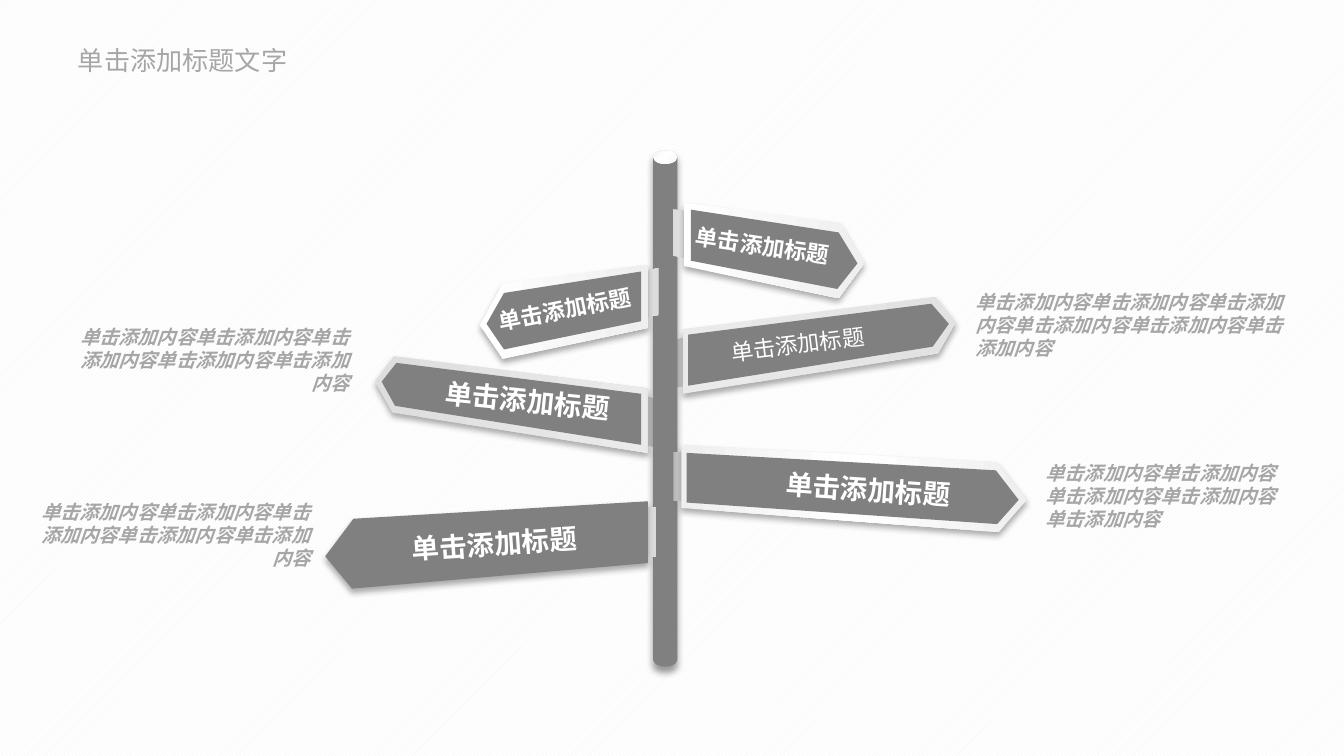
from copy import deepcopy

from lxml import etree
from pptx import Presentation
from pptx.dml.color import RGBColor
from pptx.enum.dml import MSO_PATTERN
from pptx.enum.lang import MSO_LANGUAGE_ID
from pptx.enum.shapes import MSO_SHAPE
from pptx.enum.text import MSO_ANCHOR, MSO_AUTO_SIZE, PP_ALIGN
from pptx.oxml.ns import qn
from pptx.util import Inches, Pt

CAN, OVAL, SLANT = MSO_SHAPE.CAN, MSO_SHAPE.OVAL, MSO_SHAPE.PARALLELOGRAM
LEFT, CENTER, RIGHT = PP_ALIGN.LEFT, PP_ALIGN.CENTER, PP_ALIGN.RIGHT
TOP, MIDDLE = MSO_ANCHOR.TOP, MSO_ANCHOR.MIDDLE
GROW = MSO_AUTO_SIZE.SHAPE_TO_FIT_TEXT
DIAGONAL = MSO_PATTERN.LIGHT_UPWARD_DIAGONAL
CHINESE = MSO_LANGUAGE_ID.SIMPLIFIED_CHINESE
TITLE_ONLY = 5

COLUMNS, ROWS = 100, 56.25
WIDTH, HEIGHT = Inches(10), Inches(5.625)
GRAY, MUTED, WHITE = "808080", "A6A6A6", "FFFFFF"
SIGN_SHADOW, POST_SHADOW = (32, 3.5, 2.2), (40, 4, 3)
PALE = [(0, "FFFFFF"), (100, "EFEFEF")]
TAB_SOFT = [(0, "CBCBCB"), (100, "DDDDDD")]
CAPTION = "单击添加内容"

# Lengths below are grid columns and rows.
SIGNS_BEHIND = [
    dict(frame=[(50.8, 24.5), (50.8, 29.3), (69.8, 26.3), (71.1, 24), (69.6, 22.1)],
         face=[(51.2, 24.9), (51.2, 28.7), (69.4, 25.8), (70.6, 24.1), (69.3, 22.6)],
         rim=[(0, "EAEAEA"), (100, "E2E2E2")],
         tab=(48.7, 26.7, 3.7, 0.6), turn=270, flip=True, slant=0.234, tab_fill=TAB_SOFT),
    dict(frame=[(48.2, 28.9), (48.2, 33.7), (29.2, 30.7), (27.9, 28.4), (29.3, 26.5)],
         face=[(47.7, 29.3), (47.7, 33.1), (29.4, 30.2), (28.4, 28.4), (29.5, 27)],
         rim=[(0, "DEDEDE"), (100, "EAEAEA")],
         tab=(46.6, 31.1, 3.7, 0.6), turn=90, flip=False, slant=0.191, tab_fill=TAB_SOFT),
]
SIGNS_IN_FRONT = [
    dict(frame=[(48.2, 19.7), (48.2, 24.4), (37.4, 26.7), (35.7, 24.2), (37.4, 21.1)],
         face=[(47.7, 20.2), (47.7, 23.9), (37.5, 26), (36.2, 24.1), (37.5, 21.8)],
         rim=PALE, tab=(46.6, 21.2, 3.7, 1.2), turn=90, flip=True, slant=0.187,
         tab_fill=[(0, "999999"), (7, "DBDBDB"), (100, "EAEAEA")]),
    dict(frame=[(48.2, 37.3), (48.2, 41.9), (26.2, 43.8), (24.2, 41.4), (26.3, 38.6)],
         face=[(47.9, 37.8), (47.9, 41.6), (26.3, 43.2), (24.8, 41.3), (26.4, 39.2)],
         rim=GRAY, tab=(46.6, 39.2, 3.7, 0.8), turn=90, flip=True, slant=0.045,
         tab_fill=[(1, "949494"), (7, "DBDBDB"), (100, "EAEAEA")]),
    dict(frame=[(50.7, 33.1), (50.7, 37.8), (74.3, 39.6), (76.4, 37.2), (74.2, 34.4)],
         face=[(51.1, 33.7), (51.1, 37.4), (74.2, 39), (75.8, 37.2), (74.1, 35)],
         rim=[(0, "EFEFEF"), (50, "FFFFFF"), (100, "EFEFEF")],
         tab=(48.7, 35, 3.7, 0.9), turn=270, flip=False, slant=0.04,
         tab_fill=[(0, "9F9F9F"), (7, "B8B8B8"), (100, "EAEAEA")]),
    dict(frame=[(50.9, 15.1), (50.9, 19.8), (62.4, 22.2), (64.3, 19.6), (62.5, 16.6)],
         face=[(51.4, 15.6), (51.4, 19.4), (62.3, 21.5), (63.8, 19.6), (62.4, 17.3)],
         rim=PALE, tab=(48.8, 16.8, 3.7, 1.2), turn=270, flip=False, slant=0.187,
         tab_fill=[(0, "DBDBDB"), (100, "EAEAEA")]),
]
LABELS = [
    ((50.7, 16.8, 12.1, 3), 8.5, 12, True),
    ((36, 21.5, 12.1, 3), 348.7, 12, True),
    ((53.3, 24.1, 12.1, 3), 352.8, 12, False),
    ((32, 28.1, 14.5, 3.5), 5.9, 14.7, True),
    ((29.6, 38.7, 14.4, 3.5), 356, 14.7, True),
    ((56.5, 34.7, 16.2, 3.5), 3.8, 14.7, True),
]
CAPTIONS = [
    ((1.6, 36.7, 22.5, 6.2), RIGHT, 5),
    ((4.5, 23.7, 22.5, 6.2), RIGHT, 5),
    ((71.6, 21.1, 25.1, 6.2), LEFT, 6),
    ((76.8, 33.8, 20, 6.2), LEFT, 5),
]


def color(value):
    return RGBColor.from_string(value)


def write(box, text, *, size, font="Calibri", ink=WHITE, bold=False, italic=False,
          align=LEFT, wrap=True, anchor=TOP):
    frame = box.text_frame
    frame.word_wrap, frame.auto_size, frame.vertical_anchor = wrap, GROW, anchor
    para = frame.paragraphs[0]
    para.alignment = align
    span = para.add_run()
    span.text = text
    style = span.font
    style.name, style.size, style.bold, style.italic = font, Pt(size), bold, italic
    style.color.rgb = color(ink)
    style.language_id = CHINESE
    latin = span._r.rPr.find(qn("a:latin"))
    east_asian = etree.Element(qn("a:ea"), typeface=font)
    latin.addnext(east_asian)


class SignpostSlide:
    def __init__(self, deck):
        self.page = deck.slides.add_slide(deck.slide_layouts[TITLE_ONLY])
        backdrop = self.page.background.fill
        backdrop.patterned()
        backdrop.pattern = DIAGONAL
        backdrop.fore_color.rgb, backdrop.back_color.rgb = color("F2F2F2"), color(WHITE)
        self.group = self.page.shapes.add_group_shape()

    def x(self, columns):
        return round(WIDTH * columns / COLUMNS)

    def y(self, rows):
        return round(HEIGHT * rows / ROWS)

    def place(self, area):
        left, top, width, height = area
        return self.x(left), self.y(top), self.x(width), self.y(height)

    def finish(self, shape, fill, angle=0, shadow=None):
        shape.shadow.inherit = False
        shape.line.fill.background()
        if isinstance(fill, str):
            shape.fill.solid()
            shape.fill.fore_color.rgb = color(fill)
        else:
            shape.fill.gradient()
            shape.fill.gradient_angle = -angle % 360
            stops = next(shape._element.spPr.iter(qn("a:gsLst")))
            while len(stops) < len(fill):
                stops.append(deepcopy(stops[-1]))
            for stop, (position, tone) in zip(shape.fill.gradient_stops, fill):
                stop.position, stop.color.rgb = position / 100, color(tone)
        if shadow:
            alpha, blur, distance = shadow
            effects = shape._element.spPr.find(qn("a:effectLst"))
            outer = etree.SubElement(effects, qn("a:outerShdw"), blurRad=str(Pt(blur)),
                                     dist=str(Pt(distance)), dir="5400000", rotWithShape="0")
            tint = etree.SubElement(outer, qn("a:srgbClr"), val="000000")
            etree.SubElement(tint, qn("a:alpha"), val=str(alpha * 1000))

    def preset(self, kind, area, fill, *, adjust=None, turn=0, flip=False, **look):
        shape = self.group.shapes.add_shape(kind, *self.place(area))
        shape.rotation = turn
        if adjust is not None:
            shape.adjustments[0] = adjust
        if flip:
            shape._element.spPr.find(qn("a:xfrm")).set("flipH", "1")
        self.finish(shape, fill, **look)

    def outline(self, points, fill, **look):
        corners = [(self.x(column), self.y(row)) for column, row in points]
        builder = self.group.shapes.build_freeform(*corners[0])
        builder.add_line_segments(corners[1:], close=True)
        self.finish(builder.convert_to_shape(), fill, **look)

    def sign(self, *, frame, face, rim, tab, turn, flip, slant, tab_fill):
        self.preset(SLANT, tab, tab_fill, adjust=slant, turn=turn, flip=flip, angle=90)
        self.outline(frame, rim, shadow=SIGN_SHADOW)
        self.outline(face, GRAY)

    def post(self):
        self.preset(CAN, (48.6, 11.2, 1.8, 38.4), GRAY, adjust=0.554, shadow=POST_SHADOW)
        self.preset(OVAL, (48.6, 11.2, 1.8, 1),
                    [(0, "F6F6F6"), (50, "FFFFFF"), (100, "F6F6F6")], angle=45)

    def label(self, area, turn, size, bold):
        box = self.group.shapes.add_textbox(*self.place(area))
        box.rotation = turn
        write(box, "单击添加标题", size=size, bold=bold, align=CENTER)

    def caption(self, area, align, repeats):
        box = self.page.shapes.add_textbox(*self.place(area))
        write(box, CAPTION * repeats, size=10.3, ink=MUTED, bold=True, italic=True, align=align)

    def title(self, text, area):
        box = self.page.shapes.title
        box.left, box.top, box.width, box.height = self.place(area)
        frame = box.text_frame
        frame.margin_left = frame.margin_right = Inches(0.07)
        frame.margin_top = frame.margin_bottom = Inches(0.04)
        write(box, text, size=14, font="Noto Sans CJK SC", ink=MUTED, wrap=False, anchor=MIDDLE)


def main():
    deck = Presentation()
    deck.slide_width, deck.slide_height = WIDTH, HEIGHT
    slide = SignpostSlide(deck)
    slide.title("单击添加标题文字", (5.1, 2.9, 17.2, 3.1))
    for sign in SIGNS_BEHIND:
        slide.sign(**sign)
    slide.post()
    for sign in SIGNS_IN_FRONT:
        slide.sign(**sign)
    for label in LABELS:
        slide.label(*label)
    for caption in CAPTIONS:
        slide.caption(*caption)
    deck.save("out.pptx")


if __name__ == "__main__":
    main()
